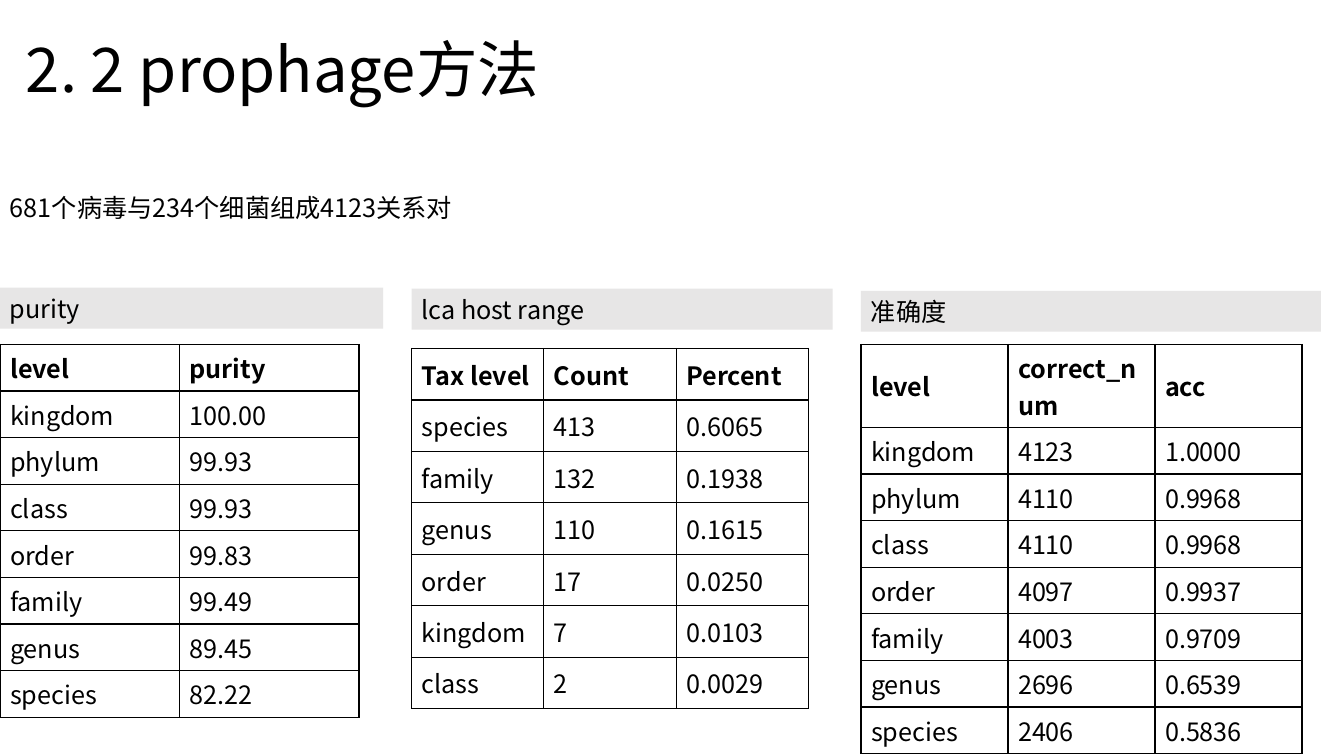
from dataclasses import dataclass

import pptx
import pptx.dml.color
import pptx.enum.shapes
import pptx.enum.text
import pptx.oxml
import pptx.oxml.ns
import pptx.util

PX = 9525  # EMU in one px, 96 px to the inch
FONT = "Noto Sans CJK SC"
BLACK = pptx.dml.color.RGBColor(0x00, 0x00, 0x00)
GREY = pptx.dml.color.RGBColor(0xE7, 0xE6, 0xE6)
ANCHOR = pptx.enum.text.MSO_ANCHOR
FRAME_FORMAT = {"word_wrap": True, "auto_size": pptx.enum.text.MSO_AUTO_SIZE.NONE}
TABLE_FORMAT = {"first_row": False, "horz_banding": False}


@dataclass(frozen=True)
class Box:
    left: int
    top: int
    width: int
    height: int

    def emu(self) -> list[int]:
        return [length * PX for length in (self.left, self.top, self.width, self.height)]


@dataclass(frozen=True)
class Panel:
    """A grey caption bar with a table under it."""
    caption: str
    bar: Box
    table_top: int
    column_width: int
    header_height: int
    row_height: int
    rows: list[tuple[str, ...]]


PANELS = [
    Panel("purity", Box(0, 274, 365, 39), 328, 171, 42, 42, [
        ("level", "purity"),
        ("kingdom", "100.00"),
        ("phylum", "99.93"),
        ("class", "99.93"),
        ("order", "99.83"),
        ("family", "99.49"),
        ("genus", "89.45"),
        ("species", "82.22"),
    ]),
    Panel("lca host range", Box(392, 275, 401, 39), 332, 126, 49, 49, [
        ("Tax level", "Count", "Percent"),
        ("species", "413", "0.6065"),
        ("family", "132", "0.1938"),
        ("genus", "110", "0.1615"),
        ("order", "17", "0.0250"),
        ("kingdom", "7", "0.0103"),
        ("class", "2", "0.0029"),
    ]),
    Panel("准确度", Box(820, 277, 438, 39), 328, 140, 68, 39, [
        ("level", "correct_num", "acc"),
        ("kingdom", "4123", "1.0000"),
        ("phylum", "4110", "0.9968"),
        ("class", "4110", "0.9968"),
        ("order", "4097", "0.9937"),
        ("family", "4003", "0.9709"),
        ("genus", "2696", "0.6539"),
        ("species", "2406", "0.5836"),
    ]),
]


def apply_format(target, values: dict) -> None:
    for name, value in values.items():
        setattr(target, name, value)


def write(frame, text: str, size: int = 18, bold: bool = False):
    """Fill a text frame with one left-aligned paragraph and return it."""
    para = frame.paragraphs[0]
    para.alignment = pptx.enum.text.PP_ALIGN.LEFT
    span = para.add_run()
    span.text = text
    apply_format(span.font, {"name": FONT, "size": pptx.util.Pt(size), "bold": bold})
    span.font.color.rgb = BLACK
    east_asian = pptx.oxml.parse_xml(
        f'<a:ea {pptx.oxml.ns.nsdecls("a")} typeface="{FONT}"/>')
    span._r.get_or_add_rPr().append(east_asian)
    return para


def outline_cell(cell) -> None:
    properties = cell._tc.get_or_add_tcPr()
    for position, side in enumerate("LRTB"):
        properties.insert(position, pptx.oxml.parse_xml(
            f'<a:ln{side} {pptx.oxml.ns.nsdecls("a")} w="12700"><a:solidFill>'
            f'<a:srgbClr val="{BLACK}"/></a:solidFill></a:ln{side}>'))


def add_caption(page, panel: Panel) -> None:
    bar = page.shapes.add_shape(
        pptx.enum.shapes.MSO_SHAPE.RECTANGLE, *panel.bar.emu())
    bar.shadow.inherit = False
    bar.fill.solid()
    bar.fill.fore_color.rgb = GREY
    bar.line.fill.background()
    apply_format(bar.text_frame, FRAME_FORMAT | {"vertical_anchor": ANCHOR.MIDDLE})
    write(bar.text_frame, panel.caption)


def add_panel_table(page, panel: Panel) -> None:
    row_count, column_count = len(panel.rows), len(panel.rows[0])
    box = Box(panel.bar.left, panel.table_top, column_count * panel.column_width,
              panel.header_height + (row_count - 1) * panel.row_height)
    table = page.shapes.add_table(row_count, column_count, *box.emu()).table
    apply_format(table, TABLE_FORMAT)
    for column in table.columns:
        column.width = panel.column_width * PX
    for index, values in enumerate(panel.rows):
        is_header = index == 0
        table.rows[index].height = PX * (
            panel.header_height if is_header else panel.row_height)
        for cell, value in zip(table.rows[index].cells, values):
            cell.vertical_anchor = ANCHOR.MIDDLE
            cell.fill.background()
            outline_cell(cell)
            write(cell.text_frame, value, bold=is_header)


def add_title(page, text: str, box: Box) -> None:
    title = page.shapes.title
    apply_format(title, dict(zip(("left", "top", "width", "height"), box.emu())))
    apply_format(title.text_frame, FRAME_FORMAT | {"vertical_anchor": ANCHOR.MIDDLE})
    write(title.text_frame, text, size=44).line_spacing = 0.9


def add_summary(page, text: str, box: Box) -> None:
    summary = page.shapes.add_textbox(*box.emu())
    apply_format(summary.text_frame, FRAME_FORMAT)
    write(summary.text_frame, text)


def main() -> None:
    deck = pptx.Presentation()
    apply_format(deck, {"slide_width": 1280 * PX, "slide_height": 720 * PX})
    page = deck.slides.add_slide(deck.slide_layouts.get_by_name("Title Only"))
    add_title(page, "2. 2 prophage方法", Box(15, 0, 1104, 139))
    add_summary(page, "681个病毒与234个细菌组成4123关系对", Box(0, 178, 662, 39))
    for panel in PANELS:
        add_caption(page, panel)
        add_panel_table(page, panel)
    deck.save("out.pptx")


if __name__ == "__main__":
    main()
